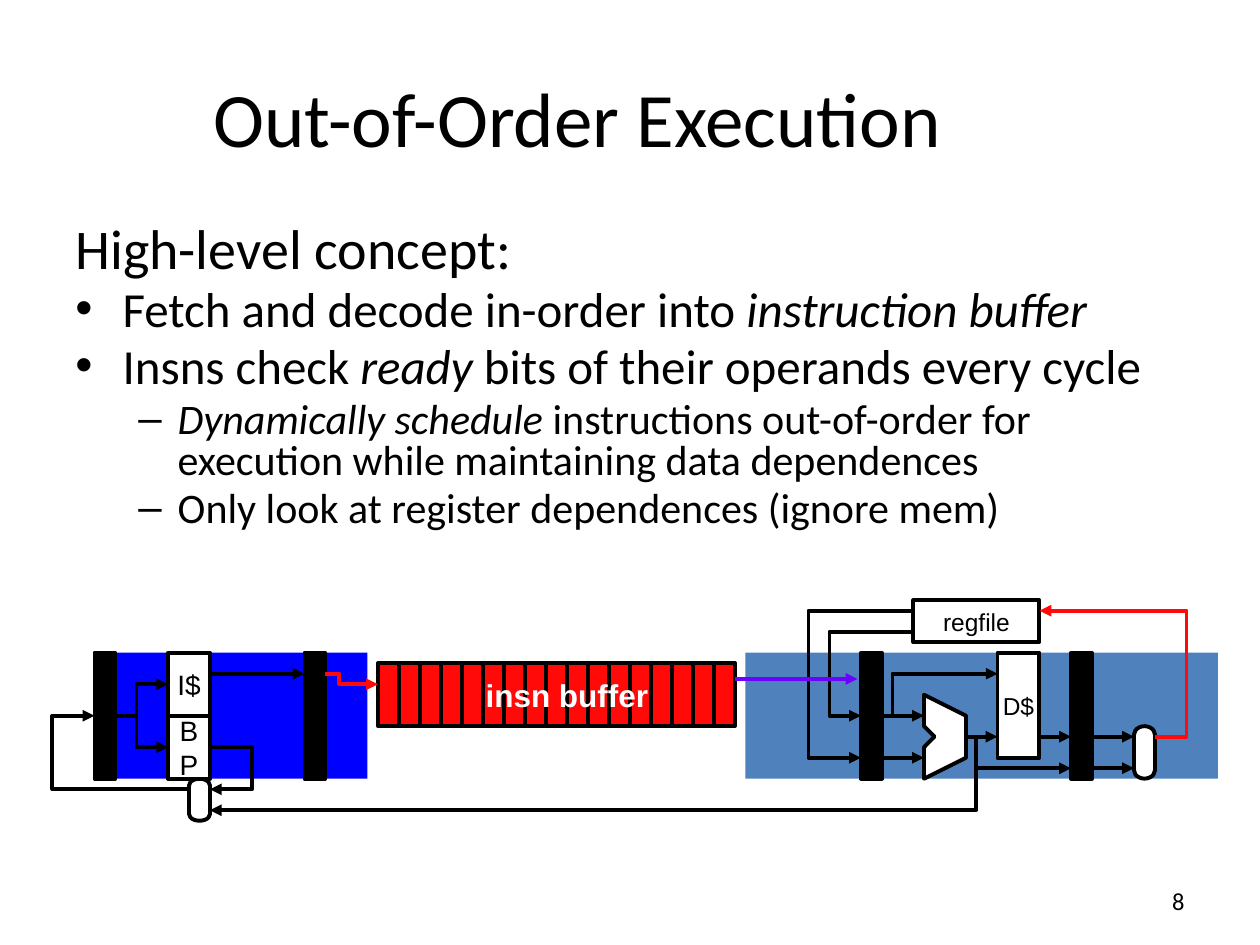
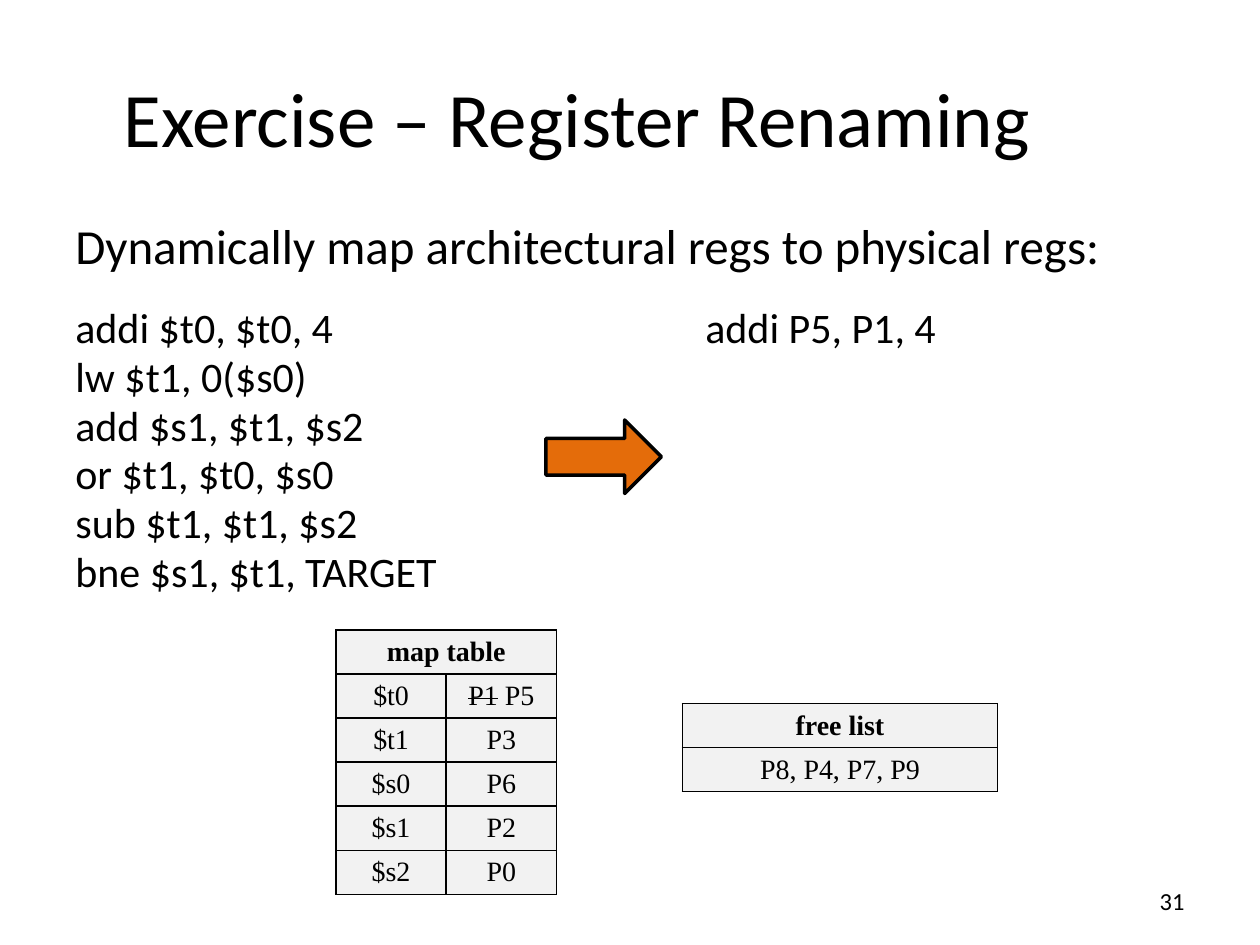
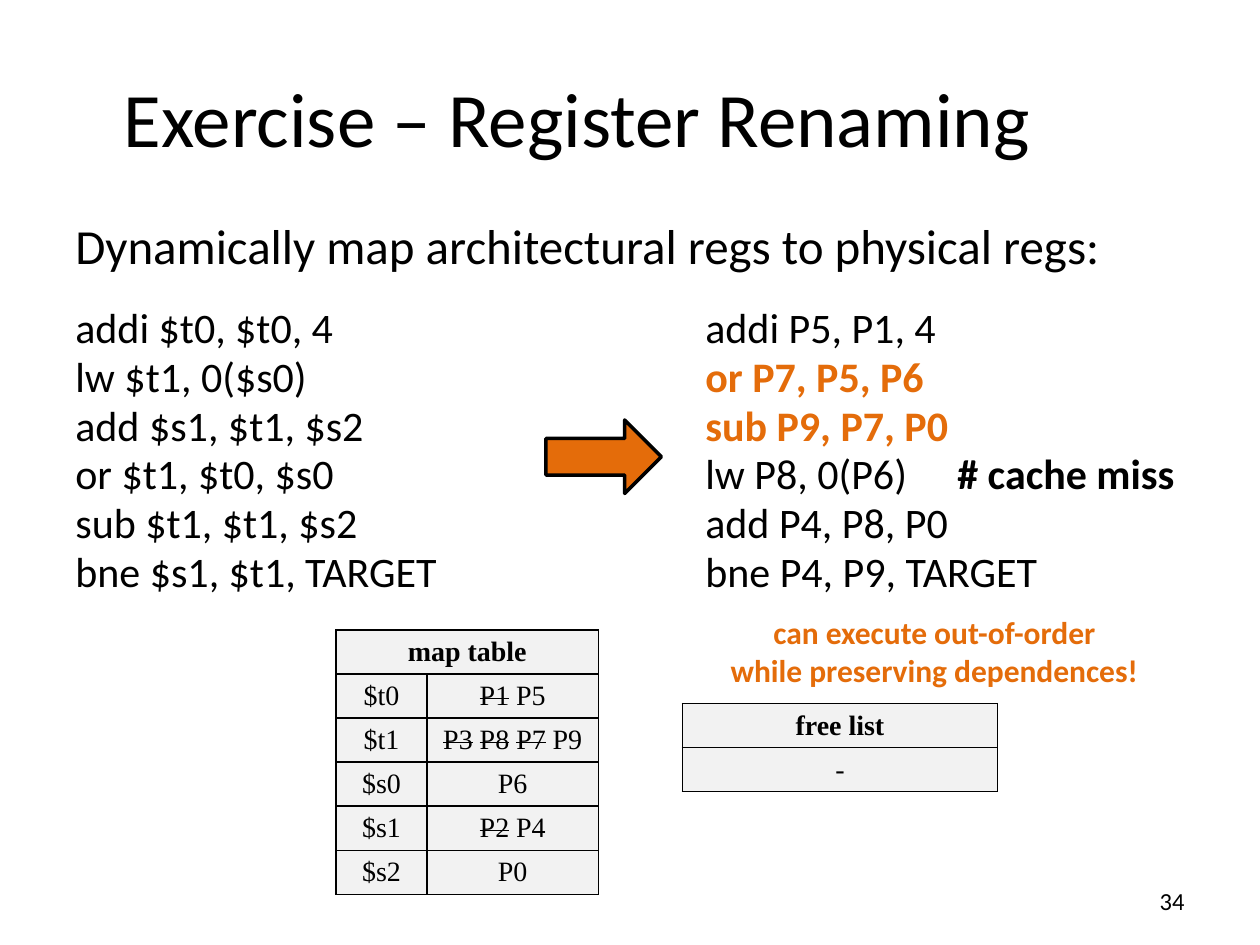
from pptx import Presentation
from pptx import util as u
from pptx.dml import color
from pptx.enum import shapes, text
from pptx.oxml import ns
from lxml import etree

Pt = u.Pt
SANS, LABEL, SERIF = "Calibri", "Arial", "Times New Roman"
BLACK, WHITE, RED, ORANGE = "000000", "FFFFFF", "FF0909", "E46C0A"
BLUE, STEEL, PURPLE, GREY = "0000FF", "4F81BD", "6B02FF", "F2F2F2"
RECT = shapes.MSO_SHAPE.RECTANGLE
PILL = shapes.MSO_SHAPE.FLOWCHART_TERMINATOR
LEFT, MID, RIGHT = (text.PP_ALIGN.LEFT, text.PP_ALIGN.CENTER,
                    text.PP_ALIGN.RIGHT)

# Runs are (text, flags): i italic, b bold, s struck, o orange
# Concept slide: (level, size, runs)
CONCEPT = [
    (0, 32, [("High-level concept:", "")]),
    (1, 28, [("Fetch and decode in-order into ", ""),
             ("instruction buffer", "i")]),
    (1, 28, [("Insns check ", ""), ("ready", "i"),
             (" bits of their operands every cycle", "")]),
    (2, 24, [("Dynamically schedule ", "i"),
             ("instructions out-of-order for execution while "
              "maintaining data dependences", "")]),
    (2, 24, [("Only look at register dependences (ignore mem)", "")]),
]
BULLETS = {1: ("•", 27, -27), 2: ("–", 58.5, -22.5)}

# Pipeline: (left, top, width, height)
STAGES = [(426, 373, 270, 72, STEEL), (66, 373, 144, 72, BLUE)]
LATCHES = [54, 174, 492, 612]
UNITS = [
    (522, 343, 72, 24, "regfile", 14),
    (570, 373, 24, 60, "D$", 14),
    (96, 373, 24, 36, "I$", 16),
    (96, 409, 24, 36, "B\nP", 16),
]
PILLS = [(639, 424, 30, 12), (102, 451, 24, 12)]
ALU = [(528, 397), (528, 415), (534, 421), (528, 427),
       (528, 445), (552, 433), (552, 409)]
SLOTS, SLOT = 17, (216, 379, 12, 36)

# Wires: (colour, arrowhead, points)
WIRES = [
    (BLACK, True, [(624, 421), (648, 421)]),
    (BLACK, True, [(624, 439), (648, 439)]),
    (BLACK, True, [(594, 421), (612, 421)]),
    (BLACK, True, [(504, 409), (528, 409)]),
    (BLACK, True, [(504, 433), (528, 433)]),
    (BLACK, True, [(552, 421), (570, 421)]),
    (BLACK, True, [(120, 385), (174, 385)]),
    (BLACK, False, [(66, 409), (78, 409)]),
    (BLACK, True, [(510, 409), (510, 385), (570, 385)]),
    (BLACK, True, [(558, 421), (558, 439), (612, 439)]),
    (BLACK, True, [(522, 361), (474, 361), (474, 409), (492, 409)]),
    (BLACK, True, [(522, 349), (462, 349), (462, 433), (492, 433)]),
    (BLACK, True, [(78, 415), (78, 391), (96, 391)]),
    (BLACK, True, [(78, 415), (78, 427), (96, 427)]),
    (BLACK, True, [(120, 427), (144, 427), (144, 451), (120, 451)]),
    (BLACK, True, [(558, 421), (558, 463), (120, 463)]),
    (BLACK, True, [(108, 451), (30, 451), (30, 409), (54, 409)]),
    (RED, True, [(660, 421), (678, 421), (678, 349), (594, 349)]),
    (RED, True, [(186, 385), (194, 385), (194, 391), (216, 391)]),
    (PURPLE, True, [(420, 388), (490, 388)]),
]

# Renaming slides
RENAME = "Exercise – Register Renaming"
LEAD = "Dynamically map architectural regs to physical regs:"
CODE = ["addi $t0, $t0, 4", "lw $t1, 0($s0)", "add $s1, $t1, $s2",
        "or $t1, $t0, $s0", "sub $t1, $t1, $s2", "bne $s1, $t1, TARGET"]
REGS = ["$t0", "$t1", "$s0", "$s1", "$s2"]
STEPS = [
    dict(num="31", out=[[("addi P5, P1, 4", "")]], cols=[63, 63],
         maps=["P1 P5", "P3", "P6", "P2", "P0"],
         free="P8, P4, P7, P9", note=[]),
    dict(num="34", cols=[52, 98],
         out=[[("addi P5, P1, 4", "")], [("or P7, P5, P6", "bo")],
              [("sub P9, P7, P0", "bo")],
              [("lw P8, 0(P6)\t", ""), ("# cache miss", "b")],
              [("add P4, P8, P0", "")], [("bne P4, P9, TARGET", "")]],
         maps=["P1 P5", "P3 P8 P7 P9", "P6", "P2 P4", "P0"], free="-",
         note=["can execute out-of-order",
               "while preserving dependences!"]),
]
TABS = [360, 504]


def rgb(code):
    return color.RGBColor.from_string(code)


def sub(node, tag, **attrs):
    return etree.SubElement(node, ns.qn("a:" + tag), attrs)


# Text
def write(par, runs, size, face=SANS, align=LEFT, hue=BLACK):
    par.alignment = align
    for words, flags in runs:
        run = par.add_run()
        run.text = words
        font = run.font
        font.size, font.name = Pt(size), face
        font.bold, font.italic = "b" in flags, "i" in flags
        font.color.rgb = rgb(ORANGE if "o" in flags else hue)
        if "s" in flags:
            run._r.get_or_add_rPr().set("strike", "sngStrike")


def paras(frame, count):
    return [frame.paragraphs[0]] + [frame.add_paragraph()
                                    for _ in range(count - 1)]


def label(frame, lines, size, face=SANS, align=MID, flags="",
          hue=BLACK, wrap=True):
    frame.word_wrap = wrap
    frame.vertical_anchor = text.MSO_ANCHOR.MIDDLE
    for par, words in zip(paras(frame, len(lines)), lines):
        write(par, [(words, flags)], size, face, align, hue)


def area(slide, *box):
    return slide.shapes.add_textbox(*map(Pt, box)).text_frame


def body(slide, high, items):
    """Fill the main text; items are (level, size, gap, runs)."""
    frame = area(slide, 36, 126, 648, high)
    frame.word_wrap = True
    for par, (level, size, gap, runs) in zip(paras(frame, len(items)), items):
        par.line_spacing = 0.8
        par.space_before = Pt(gap)
        props = par._p.get_or_add_pPr()
        if level:
            mark, left, hang = BULLETS[level]
            props.set("marL", str(Pt(left)))
            props.set("indent", str(Pt(hang)))
            sub(props, "buFont", typeface="Arial")
            sub(props, "buChar", char=mark)
        if any("\t" in words for words, _ in runs):
            stops = sub(props, "tabLst")
            for stop in TABS:
                sub(stops, "tab", pos=str(Pt(stop)), algn="l")
        write(par, runs, size)


def start(deck, title, num):
    slide = deck.slides.add_slide(deck.slide_layouts[6])
    label(area(slide, 36, 21.6, 588, 90), [title], 44)
    label(area(slide, 600, 500.4, 84, 28.8), [num], 14, align=RIGHT)
    return slide


# Shapes
def paint(shape, fill, edge=BLACK, width=2.25):
    shape.shadow.inherit = False
    if fill:
        shape.fill.solid()
        shape.fill.fore_color.rgb = rgb(fill)
    else:
        shape.fill.background()
    if edge:
        shape.line.color.rgb = rgb(edge)
        shape.line.width = Pt(width)
    else:
        shape.line.fill.background()


def block(slide, box, fill, edge=BLACK, kind=RECT, width=2.25):
    shape = slide.shapes.add_shape(kind, *map(Pt, box))
    paint(shape, fill, edge, width)
    return shape


def trace(slide, points, closed):
    pen = slide.shapes.build_freeform(*points[0], scale=Pt(1))
    pen.add_line_segments(points[1:], close=closed)
    return pen.convert_to_shape()


def wire(slide, hue, head, points):
    if len(points) == 2:
        ends = [Pt(n) for point in points for n in point]
        shape = slide.shapes.add_connector(
            shapes.MSO_CONNECTOR.STRAIGHT, *ends)
        shape.line.color.rgb = rgb(hue)
        shape.line.width = Pt(2.25)
        sub(shape._element.spPr, "effectLst")
    else:
        shape = trace(slide, points, False)
        paint(shape, None, hue)
    if head:
        sub(shape.line._get_or_add_ln(), "tailEnd", type="triangle")


# Tables
def grid(slide, left, top, cols, rows):
    """Rows hold lists of runs; the first row is one merged heading."""
    high = 25
    table = slide.shapes.add_table(
        len(rows), len(cols), Pt(left), Pt(top),
        Pt(sum(cols)), Pt(high * len(rows))).table
    table.first_row = table.horz_banding = False
    for col, wide in zip(table.columns, cols):
        col.width = Pt(wide)
    if len(cols) > 1:
        table.cell(0, 0).merge(table.cell(0, len(cols) - 1))
    for r, row in enumerate(rows):
        table.rows[r].height = Pt(high)
        for c in range(len(cols)):
            cell = table.cell(r, c)
            props = cell._tc.get_or_add_tcPr()
            for side in ("lnL", "lnR", "lnT", "lnB"):
                edge = sub(props, side, w=str(Pt(1)))
                sub(sub(edge, "solidFill"), "srgbClr", val=BLACK)
            cell.fill.solid()
            cell.fill.fore_color.rgb = rgb(GREY)
            cell.margin_top = cell.margin_bottom = Pt(3)
            cell.vertical_anchor = text.MSO_ANCHOR.MIDDLE
            if c < len(row):
                write(cell.text_frame.paragraphs[0], row[c], 16, SERIF, MID)


def history(regs):
    """Strike every register but the last."""
    *old, new = regs.split()
    runs = []
    for reg in old:
        runs += [(reg, "s"), (" ", "")]
    return runs + [(new, "")]


# Slides
def concept(deck):
    slide = start(deck, "Out-of-Order Execution", "8")
    body(slide, 330, [(level, size, 0.2 * size if i else 0, runs)
                      for i, (level, size, runs) in enumerate(CONCEPT)])
    for *box, fill in STAGES:
        block(slide, box, fill, None)
    for left in LATCHES:
        block(slide, (left, 373, 12, 72), BLACK)
    for box in PILLS:
        block(slide, box, WHITE, kind=PILL).rotation = 90
    for *box, name, size in UNITS:
        shape = block(slide, box, WHITE)
        label(shape.text_frame, name.split("\n"), size, LABEL, wrap=False)
    paint(trace(slide, ALU, True), WHITE)
    left, top, wide, high = SLOT
    for i in range(SLOTS):
        block(slide, (left + i * wide, top, wide, high), RED)
    label(area(slide, left, top, 216, high), ["insn buffer"], 18, LABEL,
          flags="b", hue=WHITE, wrap=False)
    for item in WIRES:
        wire(slide, *item)


def rename(deck, step):
    slide = start(deck, RENAME, step["num"])
    block(slide, (312, 240, 66, 42), ORANGE,
          kind=shapes.MSO_SHAPE.RIGHT_ARROW, width=2)
    items = [(0, 28, 0, [(LEAD, "")])]
    for i, code in enumerate(CODE):
        runs = [(code, "")]
        if i < len(step["out"]):
            runs = [(code + "\t", "")] + step["out"][i]
        items.append((0, 24, 4.8 if i else 21.5, runs))
    body(slide, 252, items)
    maps = [[[(reg, "")], history(regs)]
            for reg, regs in zip(REGS, step["maps"])]
    grid(slide, 192, 360, step["cols"], [[[("map table", "b")]]] + maps)
    grid(slide, 390, 402, [180],
         [[[("free list", "b")]], [[(step["free"], "")]]])
    if step["note"]:
        label(area(slide, 402, 354, 264, 36), step["note"], 18, flags="bo")


def main():
    deck = Presentation()
    deck.slide_width, deck.slide_height = Pt(720), Pt(540)
    concept(deck)
    for step in STEPS:
        rename(deck, step)
    deck.save("out.pptx")


if __name__ == "__main__":
    main()
